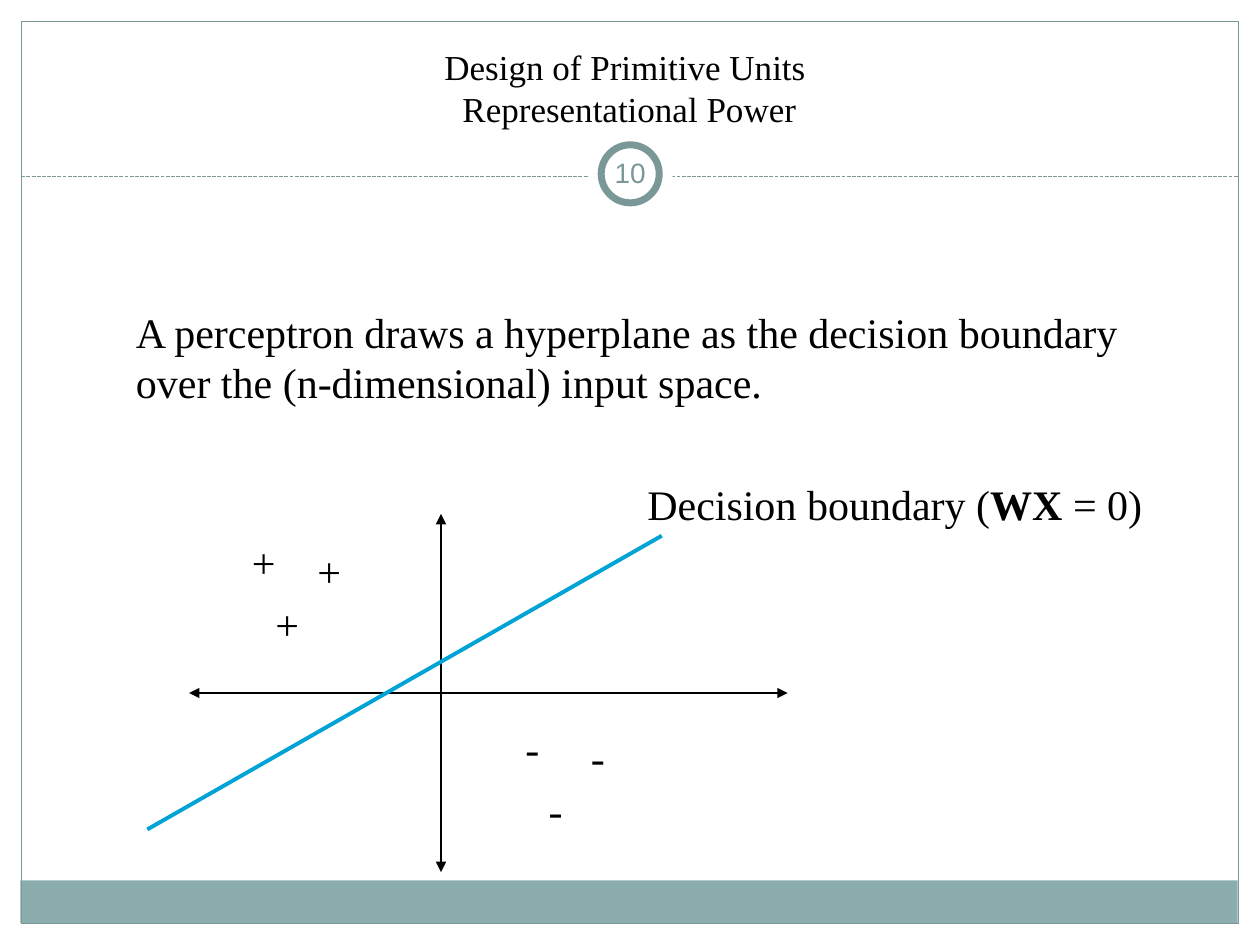
from pptx import Presentation
from pptx.dml.color import RGBColor
from pptx.enum.dml import MSO_LINE_DASH_STYLE as Dash
from pptx.enum.shapes import MSO_CONNECTOR as Connector, MSO_SHAPE as Shape
from pptx.enum.text import MSO_ANCHOR as Anchor, MSO_AUTO_SIZE as AutoSize, PP_ALIGN as Align
from pptx.oxml.ns import qn
from pptx.util import Cm, Pt
from lxml.etree import SubElement

BLACK = RGBColor(0x00, 0x00, 0x00)
WHITE = RGBColor(0xFF, 0xFF, 0xFF)
TEAL = RGBColor(0x7B, 0x98, 0x99)
BAND = RGBColor(0x8C, 0xAD, 0xAE)
BLUE = RGBColor(0x00, 0xA3, 0xD6)
SERIF = "Times New Roman"

deck = Presentation()
deck.slide_width, deck.slide_height = Cm(25.4), Cm(19.05)
page = deck.slides.add_slide(deck.slide_layouts[6])


def add_text(place, lines, size=24, color=BLACK, font=SERIF, align=Align.LEFT, wrap=False):
    """Add a text box; each line is a list of (text, bold) spans."""
    box = page.shapes.add_textbox(*[Cm(length) for length in place])
    frame = box.text_frame
    frame.word_wrap = wrap
    for index, spans in enumerate(lines):
        para = frame.paragraphs[0] if index == 0 else frame.add_paragraph()
        para.alignment = align
        para.font.size, para.font.name = Pt(size), font
        para.font.color.rgb = color
        for text, bold in spans:
            if text == "\v":
                para.add_line_break()
                continue
            span = para.add_run()
            span.text = text
            if bold:
                span.font.bold = True
    return frame


def add_line(start, end, color, width, arrows=False):
    """Add a straight line, with arrowheads at both ends if asked."""
    line = page.shapes.add_connector(Connector.STRAIGHT, *[Cm(length) for length in start + end])
    line.line.color.rgb = color
    line.line.width = Pt(width)
    properties = line._element.spPr
    if arrows:
        for end_name in ("a:headEnd", "a:tailEnd"):
            SubElement(line.line._get_or_add_ln(), qn(end_name), type="triangle")
    SubElement(properties, qn("a:effectLst"))
    return line


# Bottom band, page frame, divider and number badge
for kind, place, fill, outline, width in [
    (Shape.RECTANGLE, (0.41, 17.75, 24.54, 0.86), BAND, None, 0),
    (Shape.RECTANGLE, (0.43, 0.43, 24.54, 18.19), None, TEAL, 0.75),
    (None, None, None, None, 0),
    (Shape.OVAL, (11.86, 2.67, 1.7, 1.7), WHITE, None, 0),
    (Shape.OVAL, (12.12, 2.92, 1.17, 1.17), WHITE, TEAL, 4),
]:
    if kind is None:
        divider = add_line((0.43, 3.56), (24.97, 3.56), TEAL, 0.75)
        divider.line.dash_style = Dash.SQUARE_DOT
        continue
    shape = page.shapes.add_shape(kind, *[Cm(length) for length in place])
    shape.shadow.inherit = False
    if fill is None:
        shape.fill.background()
    else:
        shape.fill.solid()
        shape.fill.fore_color.rgb = fill
    if outline is None:
        shape.line.fill.background()
    else:
        shape.line.color.rgb = outline
        shape.line.width = Pt(width)

number = add_text((12.07, 2.87, 1.27, 1.22), [[("10", False)]], 16, TEAL, "Arial", Align.CENTER, True)
number.vertical_anchor = Anchor.MIDDLE
number.margin_left = number.margin_right = Cm(0.13)

# Title
title = add_text(
    (0.84, 0.64, 23.7, 2.1),
    [[("Design of Primitive Units ", False), ("\v", False), ("Representational Power", False)]],
    20, align=Align.CENTER, wrap=True)
title.vertical_anchor = Anchor.BOTTOM

# Statement
statement = add_text((2.49, 6.05, 20.35, 2.29), [
    [("A perceptron draws a hyperplane as the decision boundary", False)],
    [("over the (n-dimensional) input space.", False)],
])
statement.auto_size = AutoSize.SHAPE_TO_FIT_TEXT

# Axes
add_line((3.81, 13.97), (15.88, 13.97), BLACK, 0.75, arrows=True)
add_line((8.89, 10.36), (8.89, 17.58), BLACK, 0.75, arrows=True)

# Positive and negative samples: the same cluster, placed twice
CLUSTER = [(0, 0), (0.47, 1.25), (1.32, 0.18)]
for sign, left, top, width in [("+", 4.83, 10.69, 0.99), ("-", 10.34, 14.45, 0.91)]:
    for across, down in CLUSTER:
        add_text((left + across, top + down, width, 1.27), [[(sign, False)]])

# Decision boundary and its label
add_line((2.97, 16.72), (13.34, 10.8), BLUE, 2.25)
add_text((12.8, 9.53, 10.49, 1.27),
         [[("Decision boundary (", False), ("WX", True), (" = 0)", False)]])

deck.save("out.pptx")
